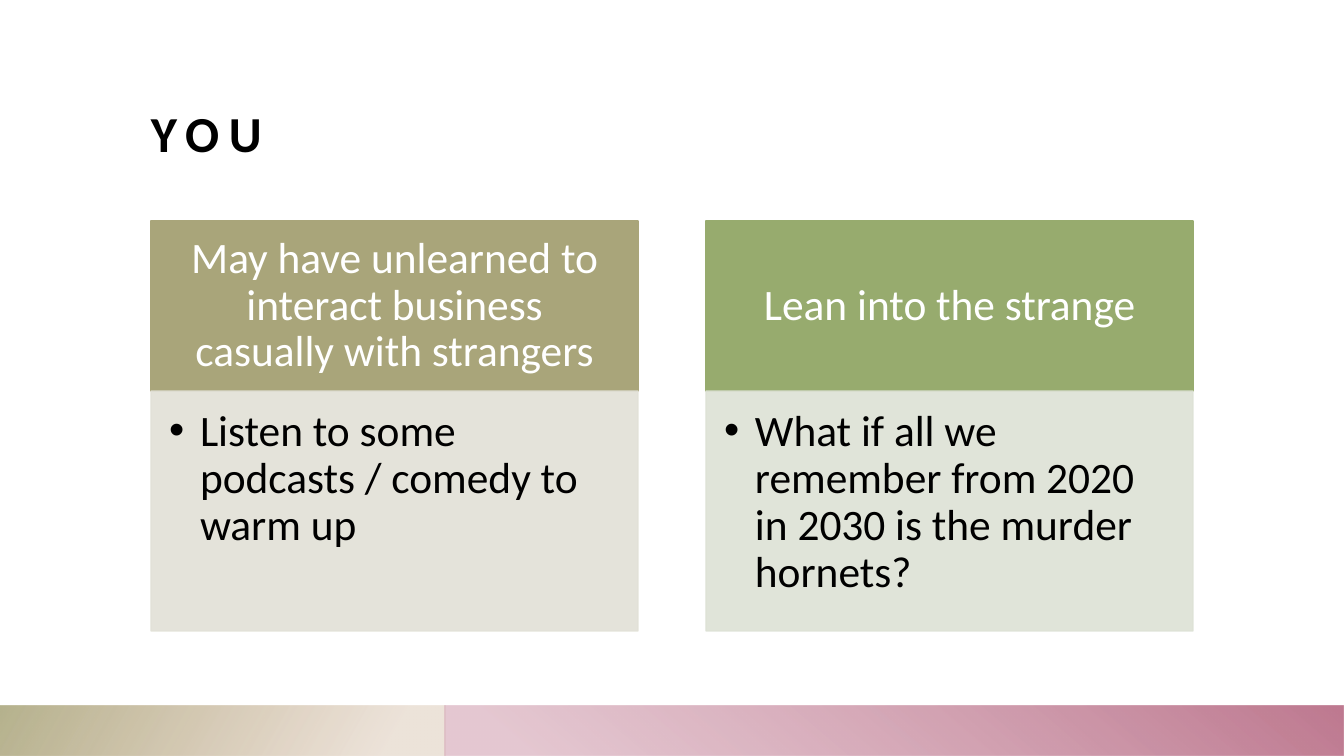
from dataclasses import dataclass

from lxml.etree import SubElement
from pptx import Presentation
from pptx.dml.color import RGBColor
from pptx.enum.shapes import MSO_SHAPE as Preset
from pptx.enum.text import MSO_ANCHOR as Anchor, MSO_AUTO_SIZE as AutoSize, PP_ALIGN as Align
from pptx.oxml.ns import qn
from pptx.shapes.base import BaseShape
from pptx.slide import Slide
from pptx.text.text import _Paragraph as Paragraph
from pptx.util import Emu, Pt

FONT = "Calibri"
BLACK, WHITE = "000000", "FFFFFF"
SLIDE_W, SLIDE_H = 1344, 756
BAND_TOP = 706
COMPARISON_LAYOUT = 4
COLUMN_LEFT, COLUMN_PITCH, COLUMN_W = 151, 555, 487
HEADING_TOP, HEADING_H = 221, 170
ADVICE_H = 240
HANGING_INDENT = 31


@dataclass(frozen=True)
class Box:
    left: int
    top: int
    width: int
    height: int


@dataclass(frozen=True)
class Stop:
    position: float
    colour: str
    opacity: int


@dataclass(frozen=True)
class Band:
    left: int
    right: int
    angle: int
    stops: tuple[Stop, Stop]


@dataclass(frozen=True)
class Column:
    heading: str
    advice: str
    heading_fill: str
    advice_fill: str


BANDS = (
    Band(0, 445, 150, (Stop(0.14, "BF9C7A", 28), Stop(1, "A9A57A", 85))),
    Band(445, SLIDE_W, 50, (Stop(0.09, "D9AFBD", 68), Stop(0.99, "BF7A91", 100))),
)
COLUMNS = (
    Column("May have unlearned to interact business casually with strangers",
           "Listen to some podcasts / comedy to warm up", "A9A57A", "E2E1D7"),
    Column("Lean into the strange",
           "What if all we remember from 2020 in 2030 is the murder hornets?",
           "97AB6E", "DDE2D5"),
)


def px(length: int) -> Emu:
    return Emu(round(length * 914400 / 100.8))


def rgb(colour: str) -> RGBColor:
    return RGBColor.from_string(colour)


def place(shape: BaseShape, box: Box) -> None:
    shape.left, shape.top = px(box.left), px(box.top)
    shape.width, shape.height = px(box.width), px(box.height)


def set_opacities(shape: BaseShape, *percents: int) -> None:
    """Give each colour of the fill and line, in order, its opacity."""
    colours = list(shape._element.spPr.iter(qn("a:srgbClr")))
    for colour, percent in zip(colours, percents):
        SubElement(colour, qn("a:alpha")).set("val", str(percent * 1000))


def paint(shape: BaseShape, colour: str, opacity: int) -> None:
    shape.fill.solid()
    shape.fill.fore_color.rgb = rgb(colour)
    shape.line.color.rgb = rgb(colour)
    shape.line.width = Pt(1)
    set_opacities(shape, opacity, opacity)


def write(shape: BaseShape, text: str, size: int, colour: str, bold: bool, align: Align,
          anchor: Anchor, insets: tuple[int, int, int, int]) -> Paragraph:
    frame = shape.text_frame
    frame.word_wrap = True
    frame.auto_size = AutoSize.NONE
    frame.vertical_anchor = anchor
    frame.margin_left, frame.margin_top, frame.margin_right, frame.margin_bottom = map(px, insets)
    paragraph = frame.paragraphs[0]
    paragraph.alignment = align
    paragraph.space_before = Pt(0)
    run = paragraph.add_run()
    run.text = text
    run.font.name, run.font.size, run.font.bold = FONT, Pt(size), bold
    run.font.color.rgb = rgb(colour)
    return paragraph


def add_band(slide: Slide, band: Band) -> None:
    strip = slide.shapes.add_shape(Preset.RECTANGLE, px(band.left), px(BAND_TOP),
                                   px(band.right - band.left), px(SLIDE_H - BAND_TOP))
    strip.shadow.inherit = False
    strip.line.fill.background()
    strip.fill.gradient()
    strip.fill.gradient_angle = band.angle
    for gradient_stop, stop in zip(strip.fill.gradient_stops, band.stops):
        gradient_stop.position = stop.position
        gradient_stop.color.rgb = rgb(stop.colour)
    set_opacities(strip, *(stop.opacity for stop in band.stops))


def fill_title(title: BaseShape, text: str) -> None:
    place(title, Box(COLUMN_LEFT, 52, 1042, 111))
    paragraph = write(title, text, 36, BLACK, True, Align.LEFT, Anchor.BOTTOM, (0, 0, 0, 0))
    paragraph.runs[0].font._element.set("spc", "700")


def fill_column(heading: BaseShape, advice: BaseShape, column: Column, left: int) -> None:
    place(heading, Box(left, HEADING_TOP, COLUMN_W, HEADING_H))
    paint(heading, column.heading_fill, 100)
    label = write(heading, column.heading, 31, WHITE, False, Align.CENTER, Anchor.MIDDLE,
                  (24, 14, 24, 14))
    label.line_spacing = 0.9

    place(advice, Box(left, HEADING_TOP + HEADING_H, COLUMN_W, ADVICE_H))
    paint(advice, column.advice_fill, 90)
    item = write(advice, column.advice, 31, BLACK, False, Align.LEFT, Anchor.TOP,
                 (18, 18, 24, 27))
    item.line_spacing = 0.9
    properties = item._p.get_or_add_pPr()
    properties.set("marL", str(px(HANGING_INDENT)))
    properties.set("indent", str(-px(HANGING_INDENT)))
    SubElement(properties, qn("a:buChar")).set("char", "•")


def main() -> None:
    deck = Presentation()
    deck.slide_width, deck.slide_height = px(SLIDE_W), px(SLIDE_H)
    slide = deck.slides.add_slide(deck.slide_layouts[COMPARISON_LAYOUT])
    fill_title(slide.shapes.title, "YOU")
    for band in BANDS:
        add_band(slide, band)
    _, *parts = slide.placeholders
    for index, column in enumerate(COLUMNS):
        heading, advice = parts[2 * index:2 * index + 2]
        fill_column(heading, advice, column, COLUMN_LEFT + index * COLUMN_PITCH)
    deck.save("out.pptx")


if __name__ == "__main__":
    main()
